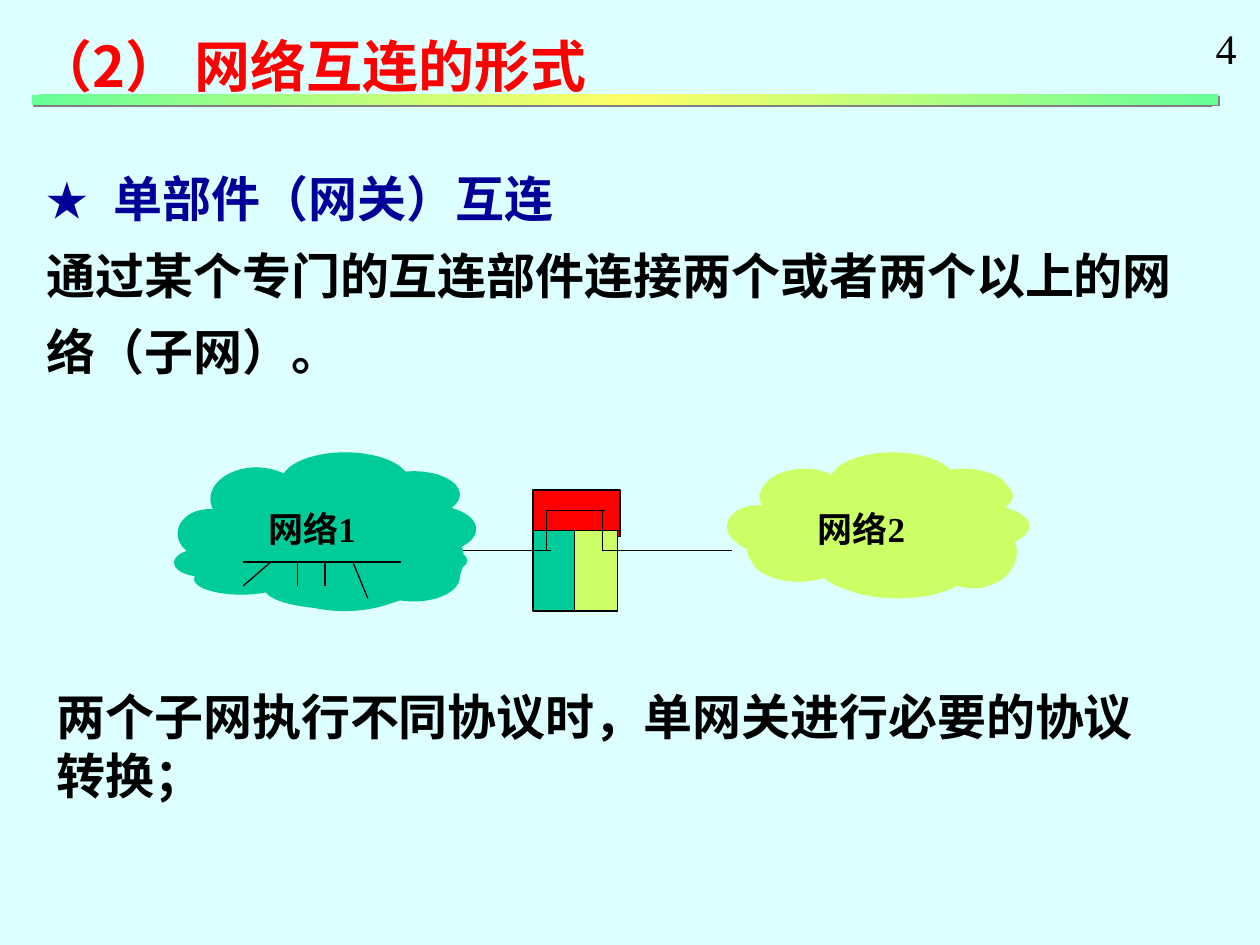
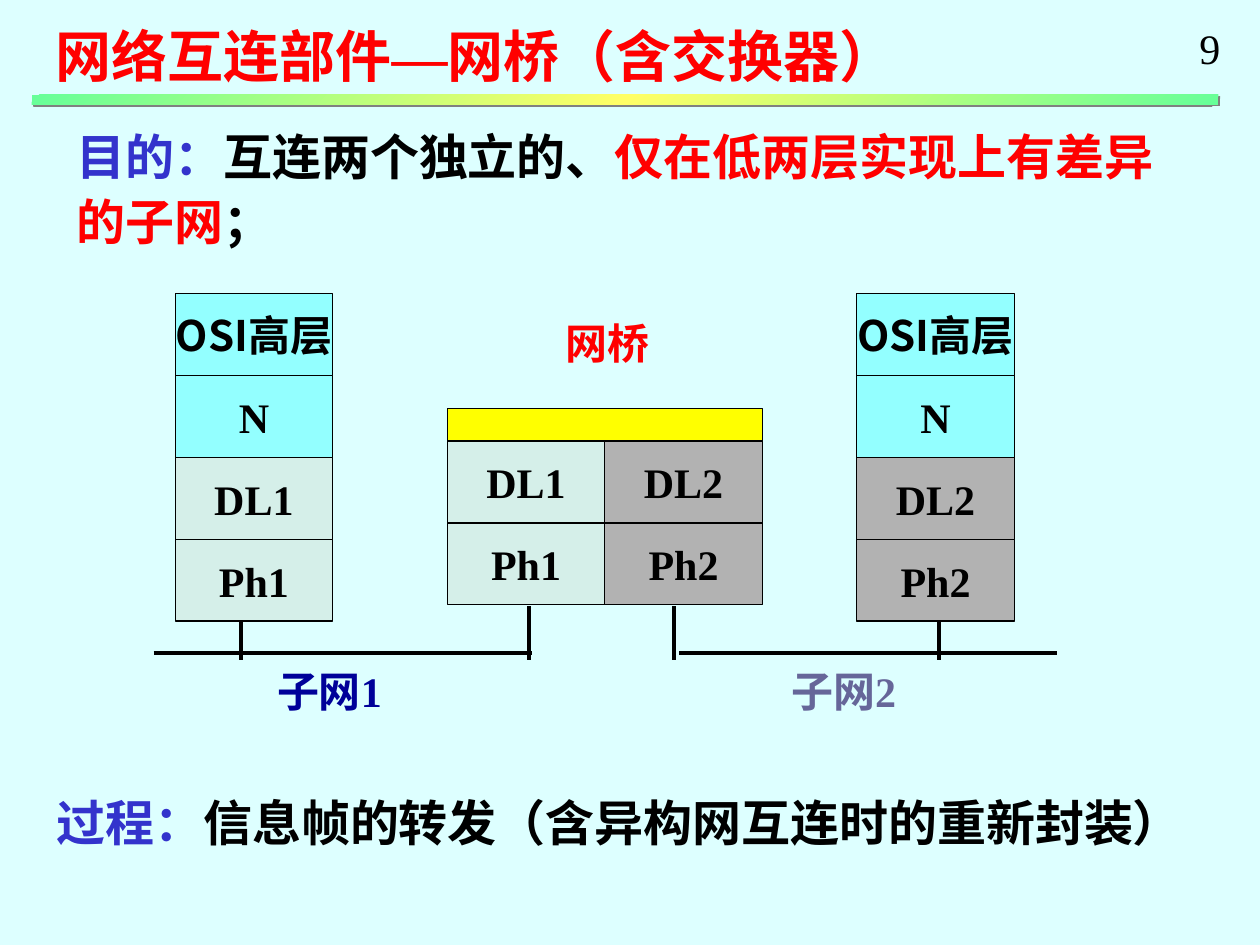
from lxml.etree import SubElement
from pptx import Presentation
from pptx.dml.color import RGBColor
from pptx.enum.shapes import MSO_CONNECTOR, MSO_SHAPE
from pptx.enum.text import MSO_ANCHOR, PP_ALIGN
from pptx.oxml import parse_xml
from pptx.oxml.ns import nsdecls, qn
from pptx.util import Inches, Pt

COLORS = {
    "background": "DDFFFF", "black": "000000", "red": "FF0000", "navy": "000099",
    "blue": "3333CC", "slate": "666699", "green": "00CC99", "lime": "CCFF66",
    "cyan": "93FFFF", "mint": "D5EFE9", "gray": "B2B2B2", "yellow": "FFFF00",
    "band_edge": "66FF99", "band_middle": "FFFF66", "band_shadow": "808080",
}
SANS = ("Noto Sans CJK SC", "Noto Sans CJK SC")
SERIF = ("Times New Roman", "Noto Sans CJK SC")
DASH = ("Times New Roman", "Times New Roman")

FORMS_TITLE = [("（2） 网络互连的形式", "red", SANS)]
GATEWAY_HEADING = [("单部件（网关）互连", "navy", SANS)]
GATEWAY_TEXT = [("通过某个专门的互连部件连接两个或者两个以上的网络（子网）。", "black", SANS)]
GATEWAY_NOTE = [("两个子网执行不同协议时，单网关进行必要的协议转换；", "black", SANS)]
BRIDGE_TITLE = [("网络互连部件", "red", SANS), ("—", "red", DASH), ("网桥（含交换器）", "red", SANS)]
BRIDGE_PURPOSE = [
    ("目的：", "blue", SANS), ("互连两个独立的、", "black", SANS),
    ("仅在低两层实现上有差异的子网", "red", SANS), ("；", "black", SANS),
]
BRIDGE_PROCESS = [("过程：", "blue", SANS), ("信息帧的转发（含异构网互连时的重新封装）", "black", SANS)]

BACK_LOBES = [
    (0.85, 0, 1.02, 0.47), (0.29, 0.12, 0.73, 0.5), (0.03, 0.45, 0.5, 0.39),
    (0.19, 0.66, 0.76, 0.45), (0.78, 0.72, 1.15, 0.54), (1.54, 0.15, 0.73, 0.37),
    (1.67, 0.42, 0.73, 0.38), (1.61, 0.51, 0.69, 0.66), (0.46, 0.3, 1.51, 0.66),
]
FRONT_LOBES = [
    (0.82, 0, 0.99, 0.45), (0.26, 0.13, 0.71, 0.45), (0, 0.42, 0.49, 0.34),
    (0.16, 0.6, 0.75, 0.37), (0.72, 0.66, 1.18, 0.48), (1.51, 0.13, 0.72, 0.34),
    (1.61, 0.39, 0.72, 0.35), (1.54, 0.47, 0.73, 0.58), (0.42, 0.27, 1.51, 0.58),
]
CLOUDS = [
    ("green", 1.38, [(BACK_LOBES, 3.59, 1), (FRONT_LOBES, 4.07, 0.67)]),
    ("lime", 5.77, [(BACK_LOBES, 3.64, 0.88), (FRONT_LOBES, 3.59, 1)]),
]
GATEWAY_BOXES = [
    (4.23, 3.89, 0.69, 0.37, "red"),
    (4.23, 4.21, 0.34, 0.64, "green"),
    (4.56, 4.21, 0.34, 0.64, "lime"),
]
GATEWAY_LINES = [
    (4.23, 4.21, 4.92, 4.21), (4.34, 4.05, 4.34, 4.37), (4.34, 4.05, 4.8, 4.05),
    (4.78, 4.05, 4.78, 4.37), (4.78, 4.37, 5.81, 4.37), (3.57, 4.37, 4.37, 4.37),
]
BUS_LINES = [
    (1.93, 4.46, 3.18, 4.46), (2.15, 4.46, 1.93, 4.65), (2.36, 4.46, 2.36, 4.65),
    (2.58, 4.46, 2.58, 4.65), (2.8, 4.46, 2.92, 4.75),
]
NETWORK_LABELS = [("网络1", 2.03), ("网络2", 6.39)]

UPPER_LAYERS = [("OSI高层", "cyan", SANS), ("N", "cyan", SERIF)]
LOWER_LAYERS_1 = [("DL1", "mint", SERIF), ("Ph1", "mint", SERIF)]
LOWER_LAYERS_2 = [("DL2", "gray", SERIF), ("Ph2", "gray", SERIF)]
LAYER_WIDTH, LAYER_HEIGHT = 1.25, 0.65
LAYER_STACKS = [
    (1.39, 2.33, UPPER_LAYERS + LOWER_LAYERS_1),
    (3.55, 3.5, LOWER_LAYERS_1),
    (3.55 + LAYER_WIDTH, 3.5, LOWER_LAYERS_2),
    (6.8, 2.33, UPPER_LAYERS + LOWER_LAYERS_2),
]
SUBNET_LEFTS, SUBNET_LENGTH, SUBNET_TOP = [1.22, 5.39], 3, 5.18
DROP_LEFTS, DROP_TOP, DROP_BOTTOM = [1.91, 4.2, 5.35, 7.45], 4.81, 5.24
BRIDGE_LABELS = [
    ("网桥", "red", 4.39, 2.47),
    ("子网1", "navy", 2.1, 5.23),
    ("子网2", "slate", 6.18, 5.23),
]
LABEL_WIDTH = 1.35


def rgb(name):
    return RGBColor.from_string(COLORS[name])


def fill_paragraph(paragraph, runs, size, bold=True):
    for text, color, (latin, east_asian) in runs:
        run = paragraph.add_run()
        run.text = text
        run.font.size = Pt(size)
        run.font.bold = bold
        run.font.name = latin
        run.font.color.rgb = rgb(color)
        SubElement(run.font._element, qn("a:ea"), typeface=east_asian)


def add_text(slide, left, top, width, height, paragraphs, size, spacing=None, bold=True):
    box = slide.shapes.add_textbox(Inches(left), Inches(top), Inches(width), Inches(height))
    frame = box.text_frame
    frame.word_wrap = True
    for index, runs in enumerate(paragraphs):
        paragraph = frame.add_paragraph() if index else frame.paragraphs[0]
        if spacing:
            paragraph.line_spacing = spacing
        fill_paragraph(paragraph, runs, size, bold)
    return box


def add_star_bullet(paragraph, color):
    properties = paragraph._p.get_or_add_pPr()
    properties.set("marL", str(Inches(0.53)))
    properties.set("indent", str(-Inches(0.53)))
    bullet_color = SubElement(properties, qn("a:buClr"))
    SubElement(bullet_color, qn("a:srgbClr"), val=COLORS[color])
    SubElement(properties, qn("a:buSzPct"), val="85000")
    SubElement(properties, qn("a:buFont"), typeface=SANS[0])
    SubElement(properties, qn("a:buChar"), char="★")


def add_filled(slide, kind, left, top, width, height, color, outlined=False):
    shape = slide.shapes.add_shape(kind, Inches(left), Inches(top), Inches(width), Inches(height))
    shape.shadow.inherit = False
    shape.fill.solid()
    shape.fill.fore_color.rgb = rgb(color)
    if outlined:
        shape.line.color.rgb = rgb("black")
        shape.line.width = Pt(0.75)
    else:
        shape.line.fill.background()
    return shape


def add_line(slide, start_x, start_y, end_x, end_y, width=0.75):
    line = slide.shapes.add_connector(
        MSO_CONNECTOR.STRAIGHT, Inches(start_x), Inches(start_y), Inches(end_x), Inches(end_y))
    line.line.color.rgb = rgb("black")
    line.line.width = Pt(width)
    SubElement(line._element.spPr, qn("a:effectLst"))


def add_band(slide):
    band = add_filled(slide, MSO_SHAPE.RECTANGLE, 0.25, 0.75, 9.42, 0.08, "band_edge")
    stops = "".join(
        f'<a:gs pos="{position}"><a:srgbClr val="{COLORS[name]}"/></a:gs>'
        for position, name in [(0, "band_edge"), (50000, "band_middle"), (100000, "band_edge")])
    gradient = parse_xml(
        f'<a:gradFill {nsdecls("a")} rotWithShape="1"><a:gsLst>{stops}</a:gsLst>'
        '<a:lin ang="2700000" scaled="1"/></a:gradFill>')
    properties = band._element.spPr
    properties.replace(properties.find(qn("a:solidFill")), gradient)
    shadow = SubElement(
        properties.find(qn("a:effectLst")), qn("a:outerShdw"),
        blurRad="0", dist=str(Pt(1.4)), dir="2700000", algn="ctr", rotWithShape="0")
    SubElement(shadow, qn("a:srgbClr"), val=COLORS["band_shadow"])


def start_slide(presentation, title, title_left, title_top, number, number_left):
    slide = presentation.slides.add_slide(presentation.slide_layouts[6])
    slide.background.fill.solid()
    slide.background.fill.fore_color.rgb = rgb("background")
    add_text(slide, title_left, title_top, 8, 0.64, [title], 32)
    add_text(slide, number_left, 0.13, 0.4, 0.5, [[(number, "black", SERIF)]], 24, bold=False)
    add_band(slide)
    return slide


def build_gateway_slide(presentation):
    slide = start_slide(presentation, FORMS_TITLE, 0.19, 0.2, "4", 9.55)
    body = add_text(slide, 0.27, 1.15, 9.21, 1.92, [GATEWAY_HEADING, GATEWAY_TEXT], 28, spacing=1.3)
    add_star_bullet(body.text_frame.paragraphs[0], "navy")
    add_text(slide, 0.35, 5.4, 8.9, 1.5, [GATEWAY_NOTE], 28)
    for *place, color in GATEWAY_BOXES:
        add_filled(slide, MSO_SHAPE.RECTANGLE, *place, color, outlined=True)
    for ends in GATEWAY_LINES:
        add_line(slide, *ends)
    for color, cloud_left, layers in CLOUDS:
        for lobes, cloud_top, scale in layers:
            for left, top, width, height in lobes:
                add_filled(slide, MSO_SHAPE.OVAL, cloud_left + left, cloud_top + top * scale,
                           width, height * scale, color)
    for text, left in NETWORK_LABELS:
        add_text(slide, left, 3.98, LABEL_WIDTH, 0.43, [[(text, "black", SERIF)]], 20)
    for ends in BUS_LINES:
        add_line(slide, *ends)


def build_bridge_slide(presentation):
    slide = start_slide(presentation, BRIDGE_TITLE, 0.34, 0.12, "9", 9.42)
    add_text(slide, 0.51, 0.91, 9, 1.13, [BRIDGE_PURPOSE], 28, spacing=1.1)
    add_text(slide, 0.35, 6.19, 9.41, 0.62, [BRIDGE_PROCESS], 28, spacing=1.1)
    for left in SUBNET_LEFTS:
        add_line(slide, left, SUBNET_TOP, left + SUBNET_LENGTH, SUBNET_TOP, 2.25)
    for left in DROP_LEFTS:
        add_line(slide, left, DROP_TOP, left, DROP_BOTTOM, 2.25)
    for text, color, left, top in BRIDGE_LABELS:
        add_text(slide, left, top, LABEL_WIDTH, 0.5, [[(text, color, SERIF)]], 24)
    for left, top, layers in LAYER_STACKS:
        for index, (text, color, font) in enumerate(layers):
            layer = add_filled(slide, MSO_SHAPE.RECTANGLE, left, top + index * LAYER_HEIGHT,
                               LAYER_WIDTH, LAYER_HEIGHT, color, outlined=True)
            frame = layer.text_frame
            frame.word_wrap = False
            frame.vertical_anchor = MSO_ANCHOR.MIDDLE
            frame.paragraphs[0].alignment = PP_ALIGN.CENTER
            fill_paragraph(frame.paragraphs[0], [(text, "black", font)], 24)
    add_filled(slide, MSO_SHAPE.RECTANGLE, 3.55, 3.24, 2 * LAYER_WIDTH, 0.26, "yellow", outlined=True)


def main():
    presentation = Presentation()
    presentation.slide_width = Inches(10)
    presentation.slide_height = Inches(7.5)
    build_gateway_slide(presentation)
    build_bridge_slide(presentation)
    presentation.save("out.pptx")


if __name__ == "__main__":
    main()
